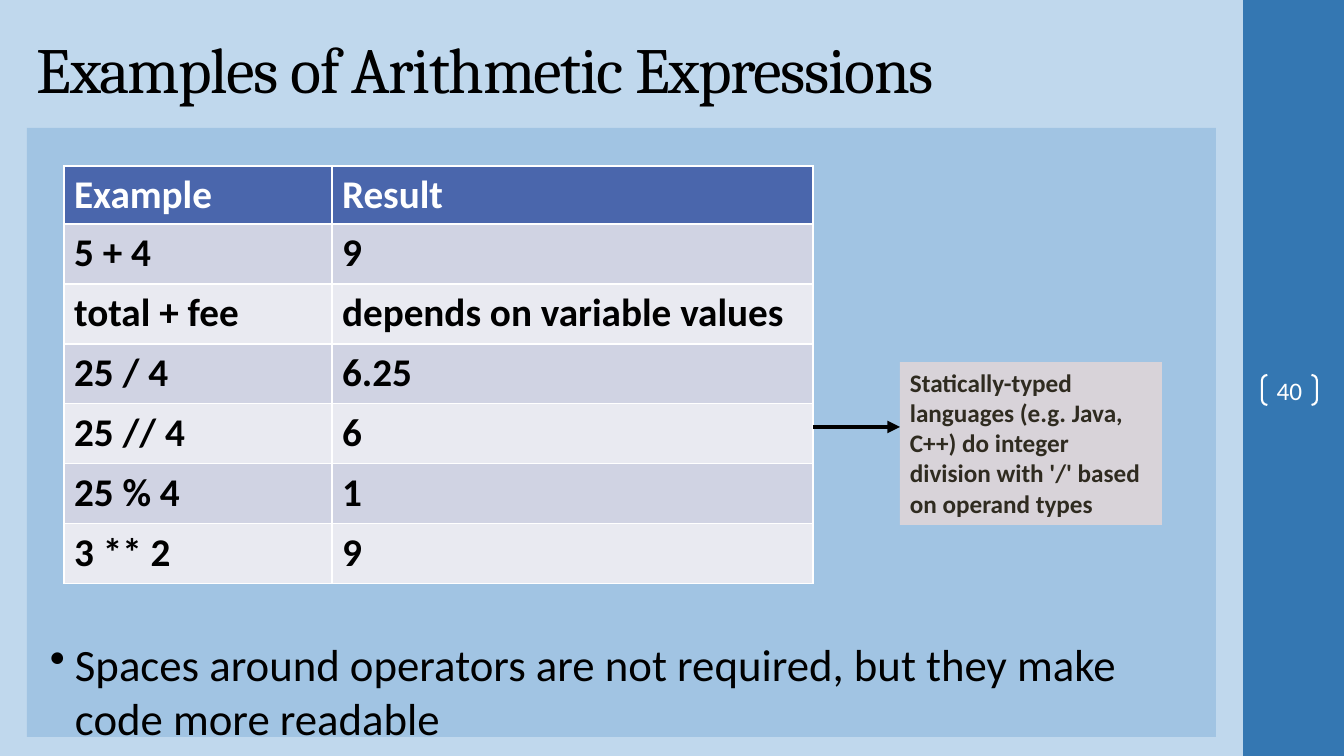
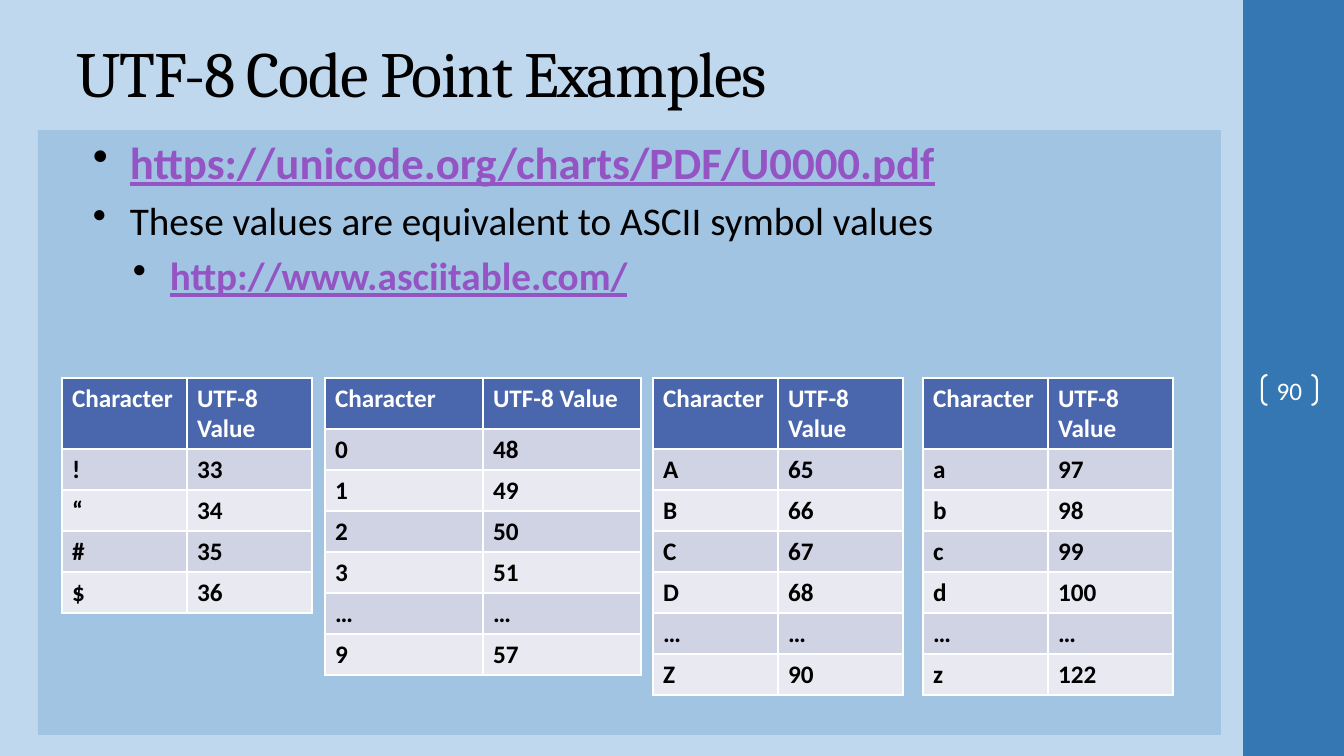
from collections import namedtuple
from dataclasses import dataclass

from lxml.etree import SubElement
from pptx import Presentation
from pptx.dml.color import RGBColor
from pptx.enum.shapes import MSO_CONNECTOR, MSO_SHAPE
from pptx.enum.text import MSO_ANCHOR, PP_ALIGN
from pptx.oxml import parse_xml
from pptx.oxml.ns import nsdecls, qn
from pptx.util import Emu, Pt

SLIDE_W, SLIDE_H = 1344, 756
EMU_PER_PX = 12192000 / SLIDE_W

Box = namedtuple("Box", "left top width height")
Bullet = namedtuple("Bullet", "text size indent hanging level link")


@dataclass(frozen=True)
class Theme:
    background: str = "C0D8ED"
    band: str = "3477B2"
    panel: str = "A1C4E3"
    header: str = "4A66AC"
    row_odd: str = "D0D3E3"
    row_even: str = "E9EAF1"
    callout: str = "D8D3D9"
    callout_ink: str = "2F2B20"
    link: str = "9454C3"
    ink: str = "000000"
    white: str = "FFFFFF"
    title_font: str = "Cambria"
    body_font: str = "Calibri"
    title_size: int = 46
    large: int = 32
    medium: int = 28
    small: int = 18
    bullet_gap: float = 5.6


THEME = Theme()


def px(length):
    return Emu(round(length * EMU_PER_PX))


def emu(box):
    return [px(length) for length in box]


def paint(fill, color):
    fill.solid()
    fill.fore_color.rgb = RGBColor.from_string(color)


def set_font(paragraph, size, color, bold=False, name=THEME.body_font):
    font = paragraph.font
    font.name, font.size, font.bold = name, Pt(size), bold
    font.color.rgb = RGBColor.from_string(color)
    return font


def add_block(slide, box, color, kind=MSO_SHAPE.RECTANGLE):
    """Add a flat shape without outline; a color of None leaves it hollow."""
    block = slide.shapes.add_shape(kind, *emu(box))
    block.shadow.inherit = False
    block.line.fill.background()
    if color:
        paint(block.fill, color)
    else:
        block.fill.background()
    return block


def add_page_number(slide, band, number):
    bracket_box = Box(band.left + 19, band.top + 375, 55, 30)
    brackets = add_block(slide, bracket_box, None, MSO_SHAPE.DOUBLE_BRACKET)
    brackets.adjustments[0] = 0.18
    brackets.line.color.rgb = RGBColor.from_string(THEME.white)
    brackets.line.width = Pt(1.5)
    frame = brackets.text_frame
    frame.margin_left = frame.margin_right = 0
    frame.margin_top = frame.margin_bottom = 0
    frame.vertical_anchor = MSO_ANCHOR.MIDDLE
    label = frame.paragraphs[0]
    label.text = str(number)
    label.alignment = PP_ALIGN.CENTER
    set_font(label, THEME.small, THEME.white)


def add_title(slide, box, text):
    frame = slide.shapes.add_textbox(*emu(box)).text_frame
    frame.word_wrap = True
    frame.vertical_anchor = MSO_ANCHOR.MIDDLE
    title = frame.paragraphs[0]
    run = title.add_run()
    run.text = text
    run._r.get_or_add_rPr().set("spc", "-100")
    set_font(title, THEME.title_size, THEME.ink, name=THEME.title_font)


def start_slide(deck, title, title_box, panel, number):
    """Add a slide with the parts that all slides share."""
    slide = deck.slides.add_slide(deck.slide_layouts[6])
    paint(slide.background.fill, THEME.background)
    band = Box(1243, 0, SLIDE_W - 1243, SLIDE_H)
    add_block(slide, band, THEME.band)
    add_title(slide, title_box, title)
    add_block(slide, panel, THEME.panel)
    add_page_number(slide, band, number)
    return slide


def add_bullets(slide, box, bullets):
    frame = slide.shapes.add_textbox(*emu(box)).text_frame
    frame.word_wrap = True
    for index, bullet in enumerate(bullets):
        paragraph = frame.add_paragraph() if index else frame.paragraphs[0]
        paragraph.text = bullet.text
        paragraph.level = bullet.level
        if index:
            paragraph.space_before = Pt(THEME.bullet_gap)
        properties = paragraph._p.get_or_add_pPr()
        properties.set("marL", str(px(bullet.indent)))
        properties.set("indent", str(-px(bullet.hanging)))
        bullet_color = SubElement(properties, qn("a:buClr"))
        SubElement(bullet_color, qn("a:srgbClr"), val=THEME.ink)
        SubElement(properties, qn("a:buChar"), char="•")
        color = THEME.link if bullet.link else THEME.ink
        font = set_font(paragraph, bullet.size, color, bold=bullet.link)
        font.underline = bullet.link


def add_borders(cell):
    properties = cell._tc.get_or_add_tcPr()
    for position, side in enumerate("LRTB"):
        properties.insert(position, parse_xml(
            f'<a:ln{side} {nsdecls("a")} w="{Pt(1)}"><a:solidFill>'
            f'<a:srgbClr val="{THEME.white}"/></a:solidFill></a:ln{side}>'))


def add_grid(slide, left, top, columns, header_height, row_height, rows, size):
    """Add a table with a dark header row and banded body rows."""
    height = header_height + row_height * (len(rows) - 1)
    box = Box(left, top, sum(columns), height)
    table = slide.shapes.add_table(len(rows), len(columns), *emu(box)).table
    for column, width in zip(table.columns, columns):
        column.width = px(width)
    for row_index, values in enumerate(rows):
        is_header = row_index == 0
        table.rows[row_index].height = px(
            header_height if is_header else row_height)
        band = THEME.row_odd if row_index % 2 else THEME.row_even
        for column_index, value in enumerate(values):
            cell = table.cell(row_index, column_index)
            paint(cell.fill, THEME.header if is_header else band)
            add_borders(cell)
            paragraph = cell.text_frame.paragraphs[0]
            paragraph.text = value
            set_font(paragraph, size,
                     THEME.white if is_header else THEME.ink, bold=True)


def add_callout(slide, box, text):
    callout = add_block(slide, box, THEME.callout)
    frame = callout.text_frame
    frame.word_wrap = True
    frame.vertical_anchor = MSO_ANCHOR.TOP
    note = frame.paragraphs[0]
    note.text = text
    note.alignment = PP_ALIGN.LEFT
    set_font(note, THEME.small, THEME.callout_ink, bold=True)


def add_arrow(slide, start_x, end_x, y):
    arrow = slide.shapes.add_connector(
        MSO_CONNECTOR.STRAIGHT, px(start_x), px(y), px(end_x), px(y))
    arrow.line.color.rgb = RGBColor.from_string(THEME.ink)
    arrow.line.width = Pt(3)
    SubElement(arrow.line._get_or_add_ln(), qn("a:tailEnd"), type="triangle")
    SubElement(arrow._element.spPr, qn("a:effectLst"))


def build_expressions(deck):
    panel = Box(27, 128, 1189, 609)
    slide = start_slide(deck, "Examples of Arithmetic Expressions",
                        Box(27, 23, 1160, 90), panel, 40)
    rows = [
        ("Example", "Result"),
        ("5 + 4", "9"),
        ("total + fee", "depends on variable values"),
        ("25 / 4", "6.25"),
        ("25 // 4", "6"),
        ("25 % 4", "1"),
        ("3 ** 2", "9"),
    ]
    columns = (268, 481)
    table_left, table_top = panel.left + 37, panel.top + 38
    add_grid(slide, table_left, table_top, columns, 58, 60, rows,
             THEME.medium)
    callout = Box(panel.left + 873, panel.top + 234, 262, 163)
    add_callout(slide, callout,
                "Statically-typed languages (e.g. Java, C++) do integer "
                "division with '/' based on operand types")
    add_arrow(slide, table_left + sum(columns), callout.left, panel.top + 299)
    add_bullets(slide, Box(panel.left, panel.top + 504, panel.width, 119), [
        Bullet("Spaces around operators are not required, but they make "
               "code more readable", THEME.large, 38, 25, 0, False),
    ])


def build_code_points(deck):
    panel = Box(38, 130, 1183, 605)
    slide = start_slide(deck, "UTF-8 Code Point Examples",
                        Box(67, 25, 1120, 93), panel, 90)
    add_bullets(slide, Box(panel.left, panel.top, panel.width, 180), [
        Bullet("https://unicode.org/charts/PDF/U0000.pdf",
               THEME.large, 82, 37, 1, True),
        Bullet("These values are equivalent to ASCII symbol values",
               THEME.medium, 82, 37, 1, False),
        Bullet("http://www.asciitable.com/",
               THEME.medium, 122, 37, 2, True),
    ])
    # Offset in the panel, column width, header height, characters, values
    groups = [
        (24, 125, 71, "!“#$", (33, 34, 35, 36)),
        (287, 158, 51, "0123…9", (48, 49, 50, 51, "…", 57)),
        (615, 125, 71, "ABCD…Z", (65, 66, 67, 68, "…", 90)),
        (885, 125, 71, "abcd…z", (97, 98, 99, 100, "…", 122)),
    ]
    for offset, column, header_height, characters, values in groups:
        rows = [("Character", "UTF-8 Value")]
        rows += zip(characters, map(str, values))
        add_grid(slide, panel.left + offset, panel.top + 248,
                 (column, column), header_height, 41, rows, THEME.small)


def main():
    deck = Presentation()
    deck.slide_width, deck.slide_height = px(SLIDE_W), px(SLIDE_H)
    build_expressions(deck)
    build_code_points(deck)
    deck.save("out.pptx")


if __name__ == "__main__":
    main()
